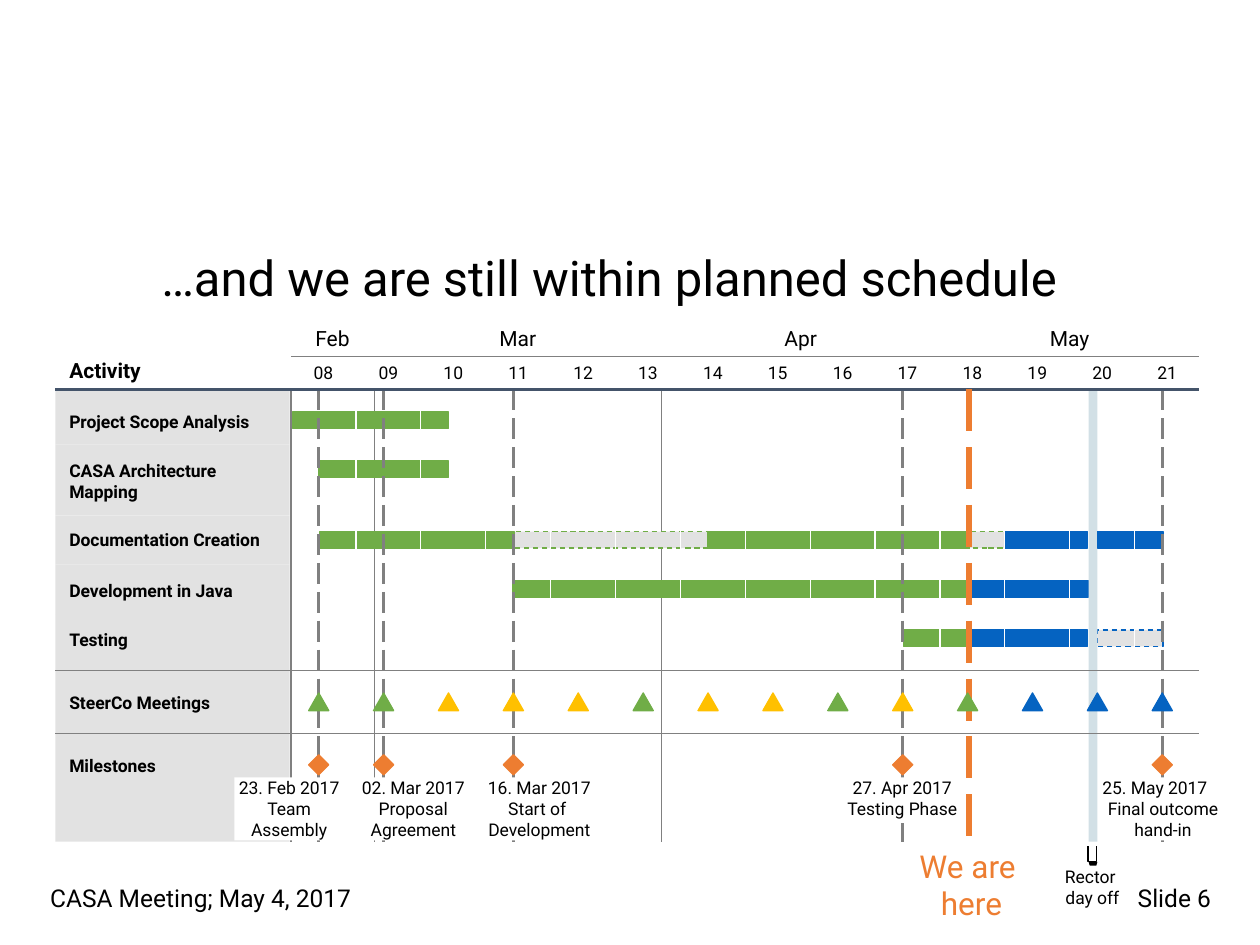
from itertools import pairwise

from lxml import etree
from pptx import Presentation
from pptx.dml.color import RGBColor
from pptx.enum import dml, shapes, text
from pptx.oxml.ns import qn
from pptx.util import Inches, Pt

BLACK = RGBColor(0, 0, 0)
WHITE = RGBColor(255, 255, 255)
GRAY = RGBColor(0x80, 0x80, 0x80)
PALE = RGBColor(0xE2, 0xE2, 0xE2)
NAVY = RGBColor(0x44, 0x54, 0x6A)
MIST = RGBColor(0xD2, 0xE0, 0xE6)
BLUE = RGBColor(0x05, 0x63, 0xC1)
GREEN = RGBColor(0x70, 0xAD, 0x47)
GOLD = RGBColor(0xFF, 0xC0, 0x00)
ORANGE = RGBColor(0xED, 0x7D, 0x31)

KIND = shapes.MSO_SHAPE
DASH = dml.MSO_LINE.DASH
LONG = dml.MSO_LINE.LONG_DASH
LEFT, MID, RIGHT = text.PP_ALIGN.LEFT, text.PP_ALIGN.CENTER, text.PP_ALIGN.RIGHT
TOP, CENTER = text.MSO_ANCHOR.TOP, text.MSO_ANCHOR.MIDDLE

START, END, WEEK = 2.31, 9.52, 0.515
HEAD, FOOT = 3.09, 6.68
FIRST = 2.53  # day of the first weekly meeting
EDGE = 0.44

ROWS = [  # top of the row, top of its label, label
    (3.09, 3.26, "Project Scope Analysis"),
    (3.53, 3.65, "CASA Architecture \vMapping"),
    (4.09, 4.20, "Documentation Creation"),
    (4.48, 4.60, "Development in Java"),
    (4.88, 4.99, "Testing"),
    (5.32, 5.49, "SteerCo Meetings"),
    (5.82, 5.99, "Milestones"),
]
MONTHS = {"Feb": 2.31, "Mar": 2.97, "Apr": 5.25, "May": 7.46}
BACK_BARS = [  # left, top, width, fill, dashed outline
    (7.69, 5, 0.94, BLUE, None),
    (7.17, 5, 0.52, GREEN, None),
    (8.71, 5, 0.52, PALE, BLUE),
    (7.69, 4.61, 0.95, BLUE, None),
]
BARS = [
    (7.69, 4.22, 0.29, PALE, GREEN),
    (4.07, 4.22, 1.55, PALE, GREEN),
    (8.71, 4.22, 0.52, BLUE, None),
    (7.97, 4.22, 0.66, BLUE, None),
    (5.62, 4.22, 2.07, GREEN, None),
    (2.54, 4.22, 1.54, GREEN, None),
    (2.32, 3.27, 1.24, GREEN, None),
    (4.07, 4.61, 3.61, GREEN, None),
    (2.53, 3.66, 1.03, GREEN, None),
]
STONES = [  # week, label left, width, height, label
    (0, 1.86, 0.87, 0.5, "23. Feb 2017\nTeam\vAssembly"),
    (1, 2.84, 0.88, 0.5, "02. Mar 2017\nProposal\vAgreement"),
    (3, 3.82, 0.92, 0.5, "16. Mar 2017\nStart of \nDevelopment"),
    (9, 6.69, 0.94, 0.33, "27. Apr 2017\nTesting Phase"),
    (13, 8.75, 0.96, 0.5, "25. May 2017\nFinal outcome\nhand-in"),
]
STEPS = [GREEN] * 2 + [GOLD] * 3 + [GREEN] + [GOLD] * 2 + [GREEN, GOLD, GREEN] + [BLUE] * 3


def write(frame, words, size=10, color=BLACK, bold=False, align=LEFT,
          anchor=TOP, pad=(0, 0), wrap=False):
    """Fill a text frame; pad is the side and the top/bottom inset."""
    frame.text = words
    frame.auto_size = text.MSO_AUTO_SIZE.NONE
    frame.word_wrap = wrap
    frame.vertical_anchor = anchor
    frame.margin_left = frame.margin_right = Inches(pad[0])
    frame.margin_top = frame.margin_bottom = Inches(pad[1])
    for para in frame.paragraphs:
        para.alignment = align
        for run in para.runs:
            run.font.name, run.font.size = "Roboto", Pt(size)
            run.font.bold, run.font.color.rgb = bold, color


class Chart:
    def __init__(self, slide):
        self.slide = slide

    def title(self, words, *box):
        head = self.slide.shapes.title
        head.left, head.top, head.width, head.height = map(Inches, box)
        write(head.text_frame, words, size=28, pad=(0.1, 0.05), wrap=True)
        head.text_frame.paragraphs[0].line_spacing = 0.9

    def label(self, words, *box, **style):
        field = self.slide.shapes.add_textbox(*map(Inches, box))
        write(field.text_frame, words, **style)

    def shape(self, kind, *box, fill=None, line=None, dash=None):
        item = self.slide.shapes.add_shape(kind, *map(Inches, box))
        item.shadow.inherit = False
        if fill is None:
            item.fill.background()
        else:
            item.fill.solid()
            item.fill.fore_color.rgb = fill
        if line is None:
            item.line.fill.background()
        else:
            item.line.color.rgb = line
            item.line.width = Pt(0.75)
            item.line.dash_style = dash
        return item

    def note(self, words, *box, **style):
        """Centred text on a white plate."""
        plate = self.shape(KIND.RECTANGLE, *box, fill=WHITE)
        write(plate.text_frame, words, align=MID, **style)
        return plate

    def bars(self, items):
        for left, top, width, fill, edge in items:
            self.shape(KIND.RECTANGLE, left, top, width, 0.13, fill=fill,
                       line=edge or fill, dash=DASH if edge else None)

    def mark(self, kind, week, top, height, color):
        self.shape(kind, FIRST - 0.08 + week * WEEK, top, 0.16, height,
                   fill=color, line=color)

    def line(self, x1, y1, x2, y2, color=GRAY, width=0.75, dash=None):
        rule = self.slide.shapes.add_connector(
            shapes.MSO_CONNECTOR.STRAIGHT, *map(Inches, (x1, y1, x2, y2)))
        rule.line.color.rgb = color
        rule.line.width = Pt(width)
        rule.line.dash_style = dash
        etree.SubElement(rule._element.spPr, qn("a:effectLst"))

    def post(self, x, **style):
        """Upright line through all rows."""
        self.line(x, HEAD, x, FOOT, **style)


def main():
    deck = Presentation()
    deck.slide_width, deck.slide_height = Inches(10), Inches(7.5)
    chart = Chart(deck.slides.add_slide(deck.slide_layouts[5]))

    foot = dict(size=14, pad=(0.1, 0.05), wrap=True)
    chart.label("CASA Meeting; May 4, 2017", 0.3, 6.96, 4.43, 0.34, **foot)
    chart.label("Slide 6", 6.97, 6.96, 2.74, 0.34, align=RIGHT, **foot)
    chart.title("…and we are still within planned schedule", 1.18, 1.97, 8.52, 1.19)

    chart.bars(BACK_BARS)
    for top, low in pairwise([row[0] for row in ROWS] + [FOOT]):
        chart.shape(KIND.RECTANGLE, EDGE, top, 1.86, low - top, fill=PALE)
    chart.shape(KIND.RECTANGLE, 8.64, HEAD, 0.07, FOOT - HEAD, fill=MIST)

    cell = dict(align=MID, anchor=CENTER, pad=(0, 0.05))
    for month, (left, right) in zip(MONTHS, pairwise([*MONTHS.values(), END])):
        chart.label(month, left, 2.54, right - left, 0.29, size=12, **cell)
        chart.line(left, 2.83, right, 2.83)
        chart.post(left)
    for week in range(14):
        chart.label(f"{week + 8:02}", START + week * WEEK, 2.83, WEEK, 0.26, **cell)

    chart.bars(BARS)
    for week in range(1, 14):
        chart.post(START + week * WEEK, color=WHITE)
    for top in (5.82, 5.32):
        chart.line(EDGE, top, END, top)
    for week, *_ in STONES:
        chart.post(FIRST + week * WEEK, width=1.5, dash=LONG)
    chart.line(EDGE, HEAD, END, HEAD, color=NAVY, width=1.5)

    hook = chart.shape(KIND.RIGHT_BRACKET, 8.61, 6.74, 0.12, 0.07, line=BLACK)
    hook.adjustments[0] = 0
    hook.rotation = 90
    tip = chart.shape(KIND.ISOSCELES_TRIANGLE, 8.64, 6.84, 0.07, 0.12, fill=BLACK)
    tip.rotation = 180

    chart.label("Activity", 0.55, 2.84, 0.64, 0.2, size=12, bold=True,
                anchor=text.MSO_ANCHOR.BOTTOM)
    for _, top, words in ROWS:
        chart.label(words, 0.55, top, 1.66, 0.33 if "\v" in words else 0.17, bold=True)
    for week, left, width, height, words in STONES:
        chart.mark(KIND.DIAMOND, week, 5.99, 0.16, ORANGE)
        plate = chart.note(words, left, 6.17, width, height)
    plate.text_frame.paragraphs[0].alignment = LEFT

    chart.note("Rector \vday off", 8.38, 6.87, 0.58, 0.17)
    chart.post(7.69, color=ORANGE, width=3, dash=LONG)
    chart.note("We are \nhere", 7.24, 6.72, 0.94, 0.33, size=18, color=ORANGE)
    for week, color in enumerate(STEPS):
        chart.mark(KIND.ISOSCELES_TRIANGLE, week, 5.5, 0.14, color)

    deck.save("out.pptx")


if __name__ == "__main__":
    main()
